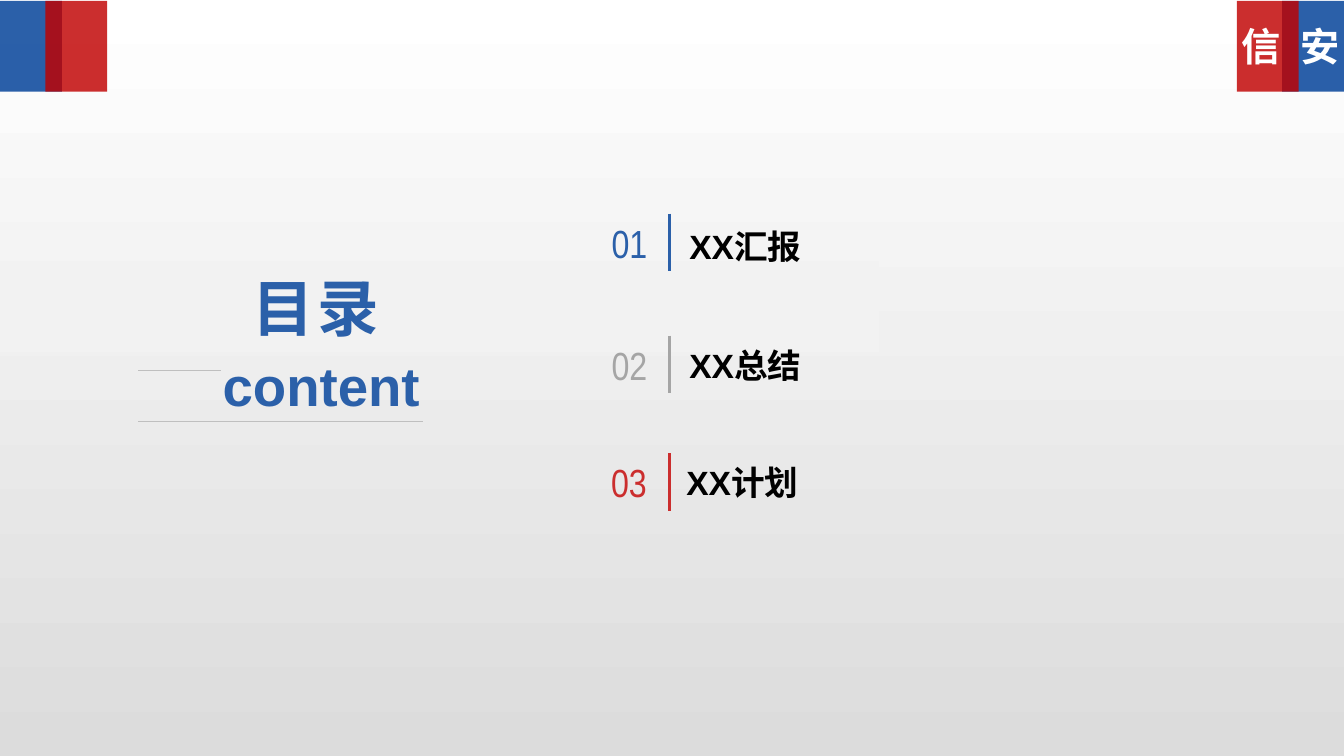
import pptx
import pptx.util
import pptx.dml.color
import pptx.enum.shapes
import pptx.enum.text
import pptx.oxml
import pptx.oxml.ns
import lxml.etree

Pt = pptx.util.Pt
ALIGN = pptx.enum.text.PP_ALIGN
ANCHOR = pptx.enum.text.MSO_ANCHOR
CJK = "Noto Sans CJK SC"
COLORS = {
    "blue": "2B60A9", "gray": "A5A5A5", "red": "CB2E2E", "rule": "BFBFBF",
    "flag_blue": "004098", "flag_red": "C00000", "panel": "F2F2F2",
    "white": "FFFFFF", "black": "000000", "shade": "DCDCDC",
}
TITLE = "目录"
SUBTITLE = "content"
FLAGS = [(0, "flag_blue", 83), (32.4, "flag_red", 82),
         (915.84, "flag_blue", 83), (883.44, "flag_red", 82)]
BADGES = [("信", 879.5), ("安", 922)]
RULES = [(98.64, 157.68, 264.7), (98.64, 302.4, 300.96)]
AGENDA = [
    ("01", "XX汇报", "blue", 152.64, (431.28, 36.72), 478.4, (485.28, 152.64, 41.04)),
    ("02", "XX总结", "gray", 239.76, (429.84, 39.6), 478.08, (485.28, 251.28, 27.36)),
    ("03", "XX计划", "red", 323.7, (429.12, 40.32), 478.08, (483.12, 334.8, 27.36)),
]
BAR_HEIGHT = 41.04


def rgb(name):
    return pptx.dml.color.RGBColor.from_string(COLORS[name])


def style(p, text, size, font, color, bold=False, align=ALIGN.LEFT):
    r = p.add_run()
    r.text = text
    p.alignment = align
    f = r.font
    f.size, f.name, f.bold = Pt(size), font, bold
    f.color.rgb = rgb(color)
    ea = lxml.etree.SubElement(r._r.get_or_add_rPr(), pptx.oxml.ns.qn("a:ea"))
    ea.set("typeface", CJK)
    return r


def add_text(s, box, text, size, font, color, bold=False, align=ALIGN.LEFT,
             anchor=ANCHOR.TOP, wrap=False):
    sp = s.shapes.add_textbox(*map(Pt, box))
    tf = sp.text_frame
    tf.word_wrap = wrap
    tf.vertical_anchor = anchor
    style(tf.paragraphs[0], text, size, font, color, bold, align)
    return tf


def add_line(s, x1, y1, x2, y2, color, width):
    line = s.shapes.add_connector(pptx.enum.shapes.MSO_CONNECTOR.STRAIGHT,
                                  Pt(x1), Pt(y1), Pt(x2), Pt(y2))
    line.line.color.rgb = rgb(color)
    line.line.width = Pt(width)
    lxml.etree.SubElement(line._element.spPr, pptx.oxml.ns.qn("a:effectLst"))


def add_flag(s, left, color, opacity):
    sp = s.shapes.add_shape(pptx.enum.shapes.MSO_SHAPE.RECTANGLE,
                            Pt(left), Pt(0.72), Pt(44.2), Pt(64.8))
    sp.shadow.inherit = False
    sp.line.fill.background()
    sp.fill.solid()
    sp.fill.fore_color.rgb = rgb(color)
    clr = sp._element.spPr.find(".//" + pptx.oxml.ns.qn("a:srgbClr"))
    alpha = lxml.etree.SubElement(clr, pptx.oxml.ns.qn("a:alpha"))
    alpha.set("val", str(opacity * 1000))


def add_title(s):
    sp = s.shapes.title
    sp.left, sp.top, sp.width, sp.height = map(Pt, (-178.56, 186.48, 806.4, 64.8))
    sp.fill.solid()
    sp.fill.fore_color.rgb = rgb("panel")
    tf = sp.text_frame
    tf.vertical_anchor = ANCHOR.MIDDLE
    tf.margin_left, tf.margin_right = Pt(7.92), Pt(5.76)
    tf.margin_top = tf.margin_bottom = Pt(2.88)
    r = style(tf.paragraphs[0], TITLE, 44, CJK, "blue", True, ALIGN.CENTER)
    r._r.get_or_add_rPr().set("spc", "200")


def main():
    prs = pptx.Presentation()
    prs.slide_width, prs.slide_height = Pt(960), Pt(540)
    s = prs.slides.add_slide(prs.slide_layouts[5])
    bg = s.background.fill
    bg.gradient()
    bg.gradient_angle = 270
    for stop, color in zip(bg.gradient_stops, ("white", "shade")):
        stop.color.rgb = rgb(color)

    add_title(s)
    for flag in FLAGS:
        add_flag(s, *flag)
    for text, left in BADGES:
        add_text(s, (left, 12.24, 43.92, 41.04), text, 28, CJK, "white", True, wrap=True)
    for x1, x2, y in RULES:
        add_line(s, x1, y, x2, y, "rule", 0.5)

    for number, label, color, top, (left, width), bar, (x, y, height) in AGENDA:
        tf = add_text(s, (left, top + 2.6, width, 36), number, 28, "Arial Narrow", color,
                      align=ALIGN.CENTER, anchor=ANCHOR.MIDDLE)
        tf.margin_left = tf.margin_right = tf.margin_top = tf.margin_bottom = 0
        add_line(s, bar, top, bar, top + BAR_HEIGHT, color, 2.25)
        add_text(s, (x, y, 284.4, height), label, 24, "Arial", "black", True,
                 anchor=ANCHOR.BOTTOM)

    tf = add_text(s, (151.92, 252, 165, 51.84), SUBTITLE, 39, "Arial", "blue", True,
                  anchor=ANCHOR.MIDDLE, wrap=True)
    tf.paragraphs[0].line_spacing = 0.9
    prs.save("out.pptx")


if __name__ == "__main__":
    main()
